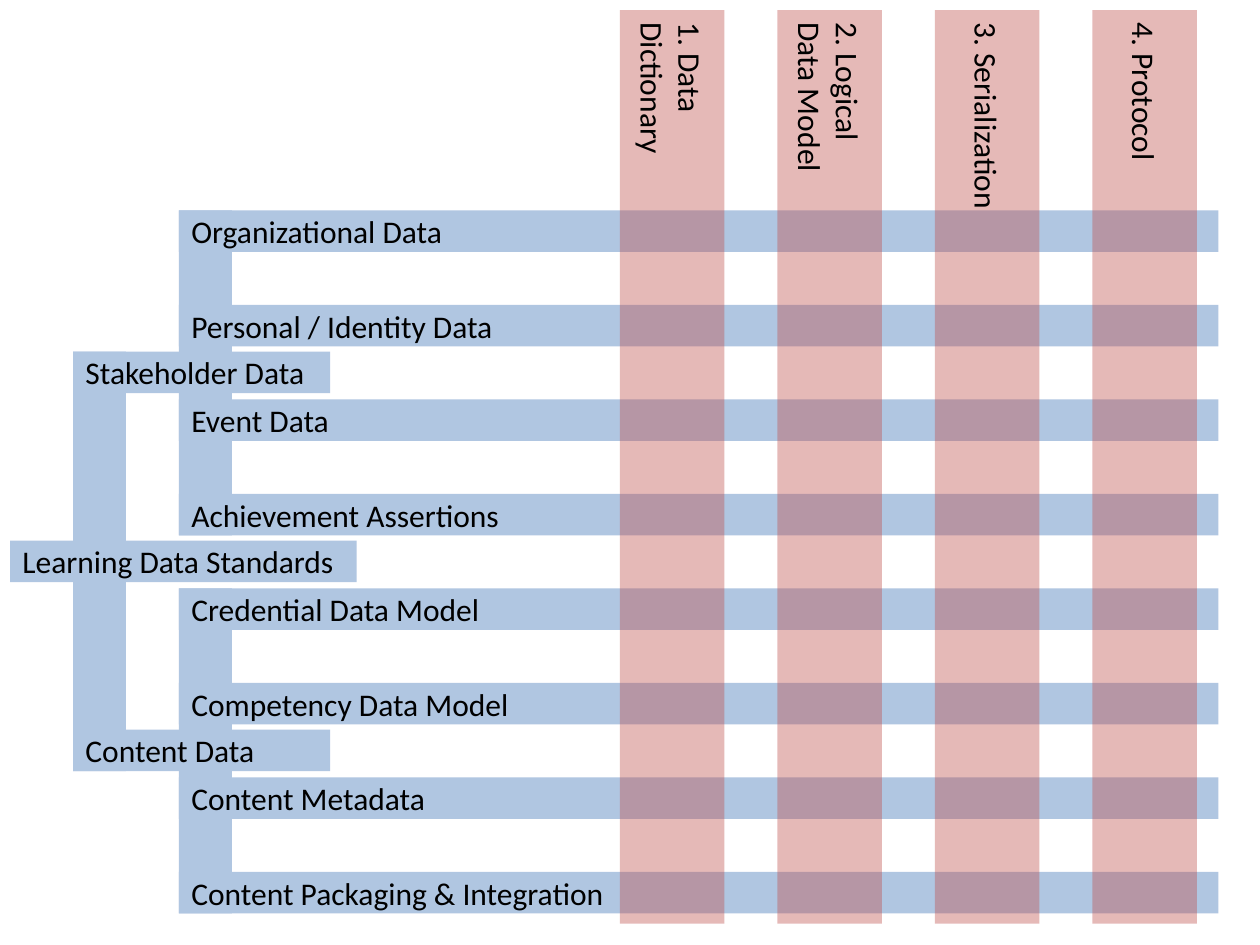
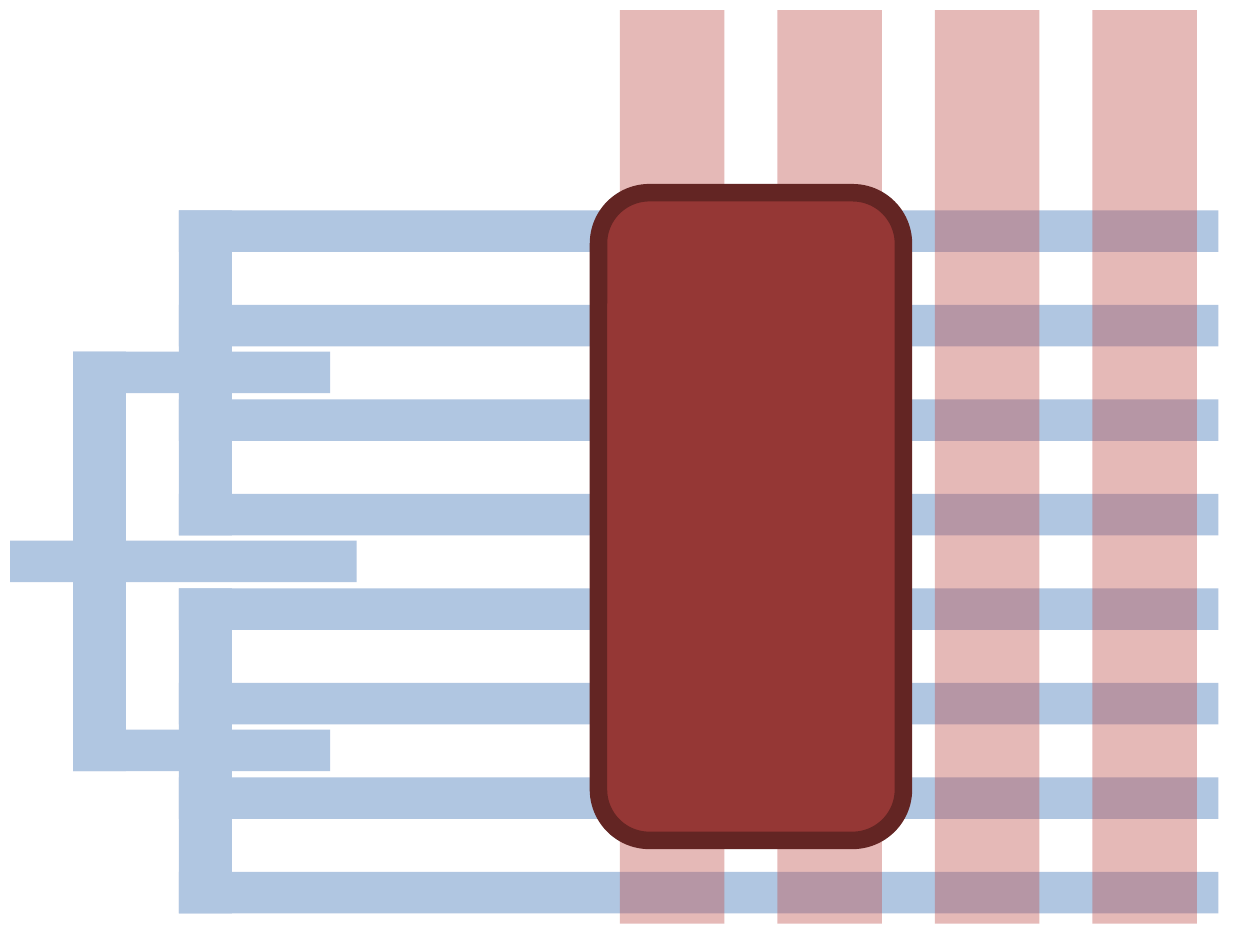
from lxml import etree
from pptx import Presentation
from pptx.dml.color import RGBColor
from pptx.enum import shapes, text
from pptx.oxml.ns import qn
from pptx.util import Inches, Pt

BLUE, RED, BLACK = "B0C6E1", "C0504D", "000000"
COVER_FILL, COVER_EDGE = "953735", "632523"
FONT = "Calibri"
BAR_HEIGHT, TRUNK_WIDTH = 0.33, 0.42
TOPIC_LEFT, TOPIC_TOP, TOPIC_STEP, TOPIC_WIDTH = 1.42, 1.67, 0.75, 8.25
GROUP_LEFT, GROUP_WIDTH = 0.58, 2.04
LAYER_LEFT, LAYER_STEP = 4.92, 1.25

TOPICS = ["Organizational Data", "Personal / Identity Data", "Event Data",
          "Achievement Assertions", "Credential Data Model",
          "Competency Data Model", "Content Metadata",
          "Content Packaging & Integration"]
GROUPS = [("Stakeholder Data", 2.79), ("Content Data", 5.79)]
LAYERS = ["1. Data\vDictionary", "2. Logical\vData Model",
          "3. Serialization", "4. Protocol"]


def color(value):
    return RGBColor.from_string(value)


def add_block(slide, left, top, width, height, fill,
              preset=shapes.MSO_SHAPE.RECTANGLE):
    block = slide.shapes.add_shape(
        preset, Inches(left), Inches(top), Inches(width), Inches(height))
    block.shadow.inherit = False
    block.fill.solid()
    block.fill.fore_color.rgb = color(fill)
    block.line.fill.background()
    return block


def add_label(block, label):
    frame = block.text_frame
    frame.text = label
    frame.word_wrap = True
    frame.vertical_anchor = text.MSO_ANCHOR.MIDDLE
    paragraph = frame.paragraphs[0]
    paragraph.alignment = text.PP_ALIGN.LEFT
    for run in paragraph.runs:
        run.font.name = FONT
        run.font.size = Pt(18)
        run.font.color.rgb = color(BLACK)


def add_bar(slide, left, top, width, label, labelled):
    bar = add_block(slide, left, top, width, BAR_HEIGHT, BLUE)
    if labelled:
        add_label(bar, label)


def add_layer(slide, left, label, labelled):
    layer = add_block(slide, left, 0.08, 0.83, 7.25, RED)
    tint = layer.fill._xPr.find(qn("a:solidFill"))[0]
    etree.SubElement(tint, qn("a:alpha")).set("val", "40000")
    if labelled:
        add_label(layer, label)
        layer.text_frame._txBody.bodyPr.set("vert", "vert")


def add_matrix(slide, labelled):
    add_block(slide, GROUP_LEFT, GROUPS[0][1], TRUNK_WIDTH, 3.33, BLUE)
    for first_topic in (0, 4):
        add_block(slide, TOPIC_LEFT, TOPIC_TOP + first_topic * TOPIC_STEP,
                  TRUNK_WIDTH, 2.58, BLUE)
    for row, topic in enumerate(TOPICS):
        add_bar(slide, TOPIC_LEFT, TOPIC_TOP + row * TOPIC_STEP,
                TOPIC_WIDTH, topic, labelled)
    for column, layer in enumerate(LAYERS):
        add_layer(slide, LAYER_LEFT + column * LAYER_STEP, layer, labelled)
    for group, top in GROUPS:
        add_bar(slide, GROUP_LEFT, top, GROUP_WIDTH, group, labelled)
    add_bar(slide, 0.08, 4.29, 2.75, "Learning Data Standards", labelled)


def add_cover(slide):
    cover = add_block(slide, 4.75, 1.53, 2.42, 5.14, COVER_FILL,
                      shapes.MSO_SHAPE.ROUNDED_RECTANGLE)
    cover.line.color.rgb = color(COVER_EDGE)
    cover.line.width = Pt(10)


def main():
    deck = Presentation()
    deck.slide_width, deck.slide_height = Inches(10), Inches(7.5)
    blank = deck.slide_layouts[6]
    add_matrix(deck.slides.add_slide(blank), labelled=True)
    covered = deck.slides.add_slide(blank)
    add_matrix(covered, labelled=False)
    add_cover(covered)
    deck.save("out.pptx")


main()
